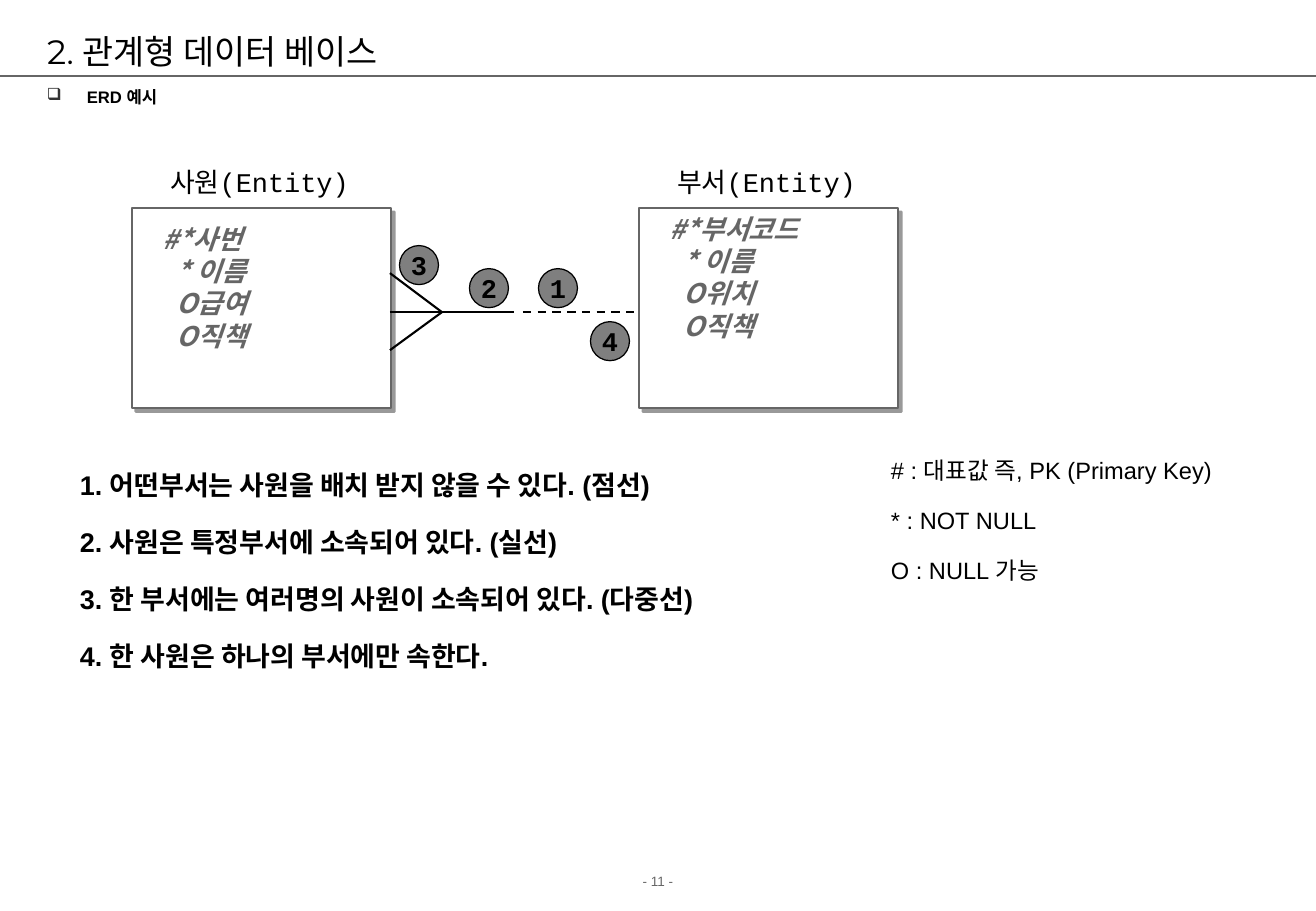
import pptx
import pptx.util
import pptx.dml.color
import pptx.enum.dml
import pptx.enum.shapes
import pptx.enum.text
import pptx.oxml
import pptx.oxml.ns

RGBColor = pptx.dml.color.RGBColor
BLACK = RGBColor(0, 0, 0)
WHITE = RGBColor(255, 255, 255)
GRAY = RGBColor(0x66, 0x66, 0x66)
MARKER_GRAY = RGBColor(0x7F, 0x7F, 0x7F)
BULLET_GRAY = "333333"
KOREAN = "Noto Sans CJK KR"
ALIGN = pptx.enum.text.PP_ALIGN
MIDDLE = pptx.enum.text.MSO_ANCHOR.MIDDLE
SHAPE = pptx.enum.shapes.MSO_SHAPE
DASH = pptx.enum.dml.MSO_LINE.DASH
PIXELS_PER_INCH = 121.4

HEADING = "2. 관계형 데이터 베이스"
TOPIC = "ERD 예시"
PAGE = "- 11 -"
ENTITIES = [
    ("사원(Entity)", 132, 216, ["#*사번", "* 이름", "O급여", "O직책"]),
    ("부서(Entity)", 639, 206, ["#*부서코드", "* 이름", "O위치", "O직책"]),
]
RELATION = [
    ((390, 312), (514, 312), None),
    ((523, 312), (640, 312), DASH),
    ((390, 273), (442, 312), None),
    ((390, 350), (442, 312), None),
]
MARKERS = [("1", 558, 288), ("2", 489, 288), ("3", 419, 265), ("4", 610, 341)]
MARKER_SIZE = 39
MEANINGS = [
    "1. 어떤부서는 사원을 배치 받지 않을 수 있다. (점선)",
    "2. 사원은 특정부서에 소속되어 있다. (실선)",
    "3. 한 부서에는 여러명의 사원이 소속되어 있다. (다중선)",
    "4. 한 사원은 하나의 부서에만 속한다.",
]
LEGEND = ["# : 대표값 즉, PK (Primary Key)", "* : NOT NULL", "O : NULL 가능"]


def px(*lengths):
    return [pptx.util.Emu(round(n / PIXELS_PER_INCH * 914400)) for n in lengths]


def element(tag, parent, **attributes):
    child = parent.makeelement(pptx.oxml.ns.qn(tag), attributes)
    parent.append(child)
    return child


def write(frame, lines, size, font, color=BLACK, bold=False, italic=False,
          align=ALIGN.LEFT, spacing=None, before=0, indents=None, hanging=0):
    for i, line in enumerate(lines):
        paragraph = frame.paragraphs[0] if i == 0 else frame.add_paragraph()
        paragraph.alignment = align
        paragraph.line_spacing = spacing
        paragraph.space_before = pptx.util.Pt(before)
        if indents:
            margin, first = px(indents[i], hanging)
            properties = paragraph._p.get_or_add_pPr()
            properties.set("marL", str(margin))
            properties.set("indent", str(-first))
        run = paragraph.add_run()
        run.text = line
        run.font.size = pptx.util.Pt(size)
        run.font.name = font
        run.font.bold = bold
        run.font.italic = italic
        run.font.color.rgb = color
        element("a:ea", run._r.get_or_add_rPr(), typeface=KOREAN)


def text_box(shapes, place, lines, size, font, wrap=True, **style):
    frame = shapes.add_textbox(*px(*place)).text_frame
    frame.word_wrap = wrap
    write(frame, lines, size, font, **style)
    return frame


def outlined(shapes, kind, place, fill, line, width):
    shape = shapes.add_shape(kind, *px(*place))
    shape.shadow.inherit = False
    shape.fill.solid()
    shape.fill.fore_color.rgb = fill
    shape.line.color.rgb = line
    shape.line.width = pptx.util.Pt(width)
    return shape


def connect(shapes, start, end, color, width, dash=None):
    line = shapes.add_connector(
        pptx.enum.shapes.MSO_CONNECTOR.STRAIGHT, *px(*start, *end))
    line.line.color.rgb = color
    line.line.width = pptx.util.Pt(width)
    if dash:
        line.line.dash_style = dash
    element("a:effectLst", line._element.spPr)


deck = pptx.Presentation()
deck.slide_width = pptx.util.Inches(10.84)
deck.slide_height = pptx.util.Inches(7.5)
slide = deck.slides.add_slide(deck.slide_layouts[5])
shapes = slide.shapes

text_box(shapes, (0, 867, 1316, 29), [PAGE], 8, "Arial", color=GRAY,
         align=ALIGN.CENTER, before=5)
connect(shapes, (0, 76), (1316, 76), GRAY, 0.74)

heading = shapes.title
heading.left, heading.top, heading.width, heading.height = px(35, 25, 1235, 51)
heading.text_frame.vertical_anchor = MIDDLE
write(heading.text_frame, [HEADING], 20, "Montserrat")

topic = text_box(shapes, (35, 75, 1235, 38), [TOPIC], 9.9, "Arial", bold=True,
                 spacing=1.3, before=5.6, indents=[40], hanging=40)
topic_properties = topic.paragraphs[0]._p.get_or_add_pPr()
bullet_color = element("a:buClr", topic_properties)
element("a:srgbClr", bullet_color, val=BULLET_GRAY)
element("a:buChar", topic_properties, char="❑")

for caption, left, attributes_top, attributes in ENTITIES:
    entity = shapes.add_group_shape().shapes
    box = outlined(entity, SHAPE.RECTANGLE, (left, 208, 259, 200), WHITE, GRAY, 1.25)
    effects = box._element.spPr.find(pptx.oxml.ns.qn("a:effectLst"))
    shadow = element("a:outerShdw", effects, blurRad="0", dist="38100",
                     dir="2700000", algn="tl", rotWithShape="0")
    shade = element("a:srgbClr", shadow, val="000000")
    element("a:alpha", shade, val="40000")
    text_box(entity, (left + 22, 159, 211, 45), [caption], 16, "Courier New",
             wrap=False, align=ALIGN.CENTER)
    text_box(shapes, (left + 19, attributes_top, 191, 142), attributes, 16, KOREAN,
             color=GRAY, bold=True, italic=True, indents=[0, 14, 14, 14])

text_box(shapes, (36, 446, 1235, 351), MEANINGS, 16, "Arial", bold=True,
         spacing=1.5, before=5, indents=[67] * len(MEANINGS), hanging=35)

relation = shapes.add_group_shape().shapes
for start, end, dash in RELATION:
    connect(relation, start, end, BLACK, 1.25, dash)

for number, x, y in MARKERS:
    corner = (x - MARKER_SIZE / 2, y - MARKER_SIZE / 2)
    marker = outlined(shapes, SHAPE.OVAL, (*corner, MARKER_SIZE, MARKER_SIZE),
                      MARKER_GRAY, BLACK, 0.74)
    frame = marker.text_frame
    frame.margin_left = frame.margin_right = frame.margin_top = frame.margin_bottom = 0
    frame.vertical_anchor = MIDDLE
    write(frame, [number], 16, "Courier New", bold=True, align=ALIGN.CENTER)

text_box(shapes, (847, 436, 470, 172), LEGEND, 14, "Arial", spacing=1.5,
         before=4.4, indents=[67] * len(LEGEND), hanging=35)

deck.save("out.pptx")
